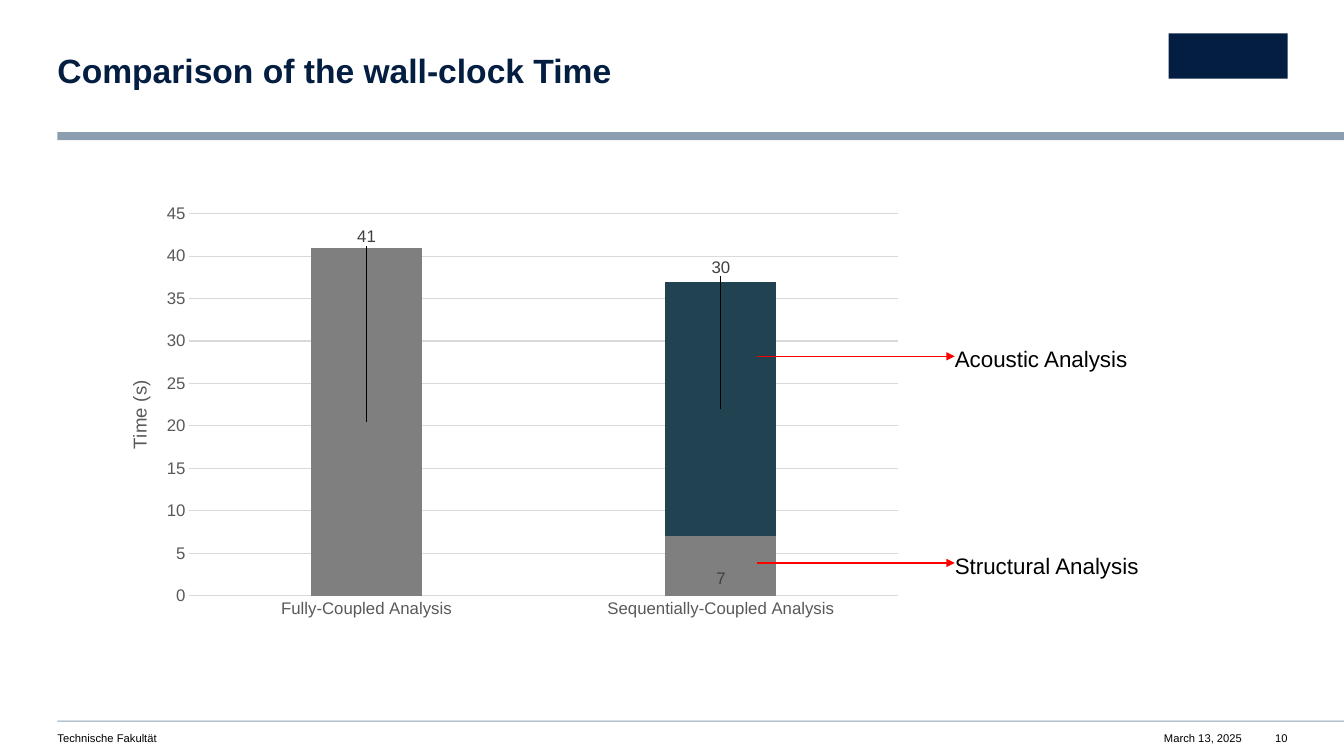
"""Build the slide comparing wall-clock times of two analyses."""
from dataclasses import dataclass

from lxml import etree
from pptx import Presentation
from pptx.chart.data import CategoryChartData as Data
from pptx.dml.color import RGBColor as RGB
from pptx.enum.chart import XL_CHART_TYPE as Kind
from pptx.enum.chart import XL_LABEL_POSITION as Spot
from pptx.enum.chart import XL_TICK_MARK as Tick
from pptx.enum.shapes import MSO_CONNECTOR as Wire
from pptx.enum.shapes import MSO_SHAPE as Shape
from pptx.enum.text import PP_ALIGN as Align
from pptx.oxml.ns import qn
from pptx.util import Inches, Pt


@dataclass(frozen=True)
class Theme:
    font: str = "Arial"
    navy: str = "041E42"
    slate: str = "8C9FB1"
    black: str = "000000"
    axis: str = "595959"
    label: str = "404040"
    grid: str = "D9D9D9"
    red: str = "FF0000"
    head: float = 24
    note: float = 16
    name: float = 13.3
    tick: float = 12
    foot: float = 8


T = Theme()

TITLE = "Comparison of the wall-clock Time"
FOOT = [
    ("Technische Fakultät", 0.57, 5.98, Align.LEFT),
    ("March 13, 2025", 11.39, 0.93, Align.RIGHT),
    ("10", 12.56, 0.21, Align.RIGHT),
]
BLOCKS = [
    (0.57, 1.31, 12.77, 0.08, T.slate),
    (0.57, 7.15, 12.77, 0.01, T.slate),
    (11.59, 0.33, 1.18, 0.45, T.navy),
]
CATS = ["Fully-Coupled Analysis", "Sequentially-Coupled Analysis"]
SERIES = [
    ("Series 1", (41, 7), "7F7F7F", {0: -0.43, 1: 0.03}),
    ("Series 2", (None, 30), "204251", {1: -0.33}),
]
UNIT = "Time (s)"
FRAME = (0.99, 1.95, 8.08, 4.26)
PLOT = {"x": 0.11, "y": 0.04, "w": 0.87, "h": 0.89}
NOTES = [("Acoustic Analysis", 3.4), ("Structural Analysis", 5.45)]
TAIL, TIP, NOTE_W, NOTE_H = 7.51, 9.47, 2.2, 0.27


def style(font, size, color, bold=False):
    font.name, font.size, font.bold = T.font, Pt(size), bold
    font.color.rgb = RGB.from_string(color)


def write(slide, text, box, size, color=T.black, bold=False, align=Align.LEFT):
    shape = slide.shapes.add_textbox(*map(Inches, box))
    frame = shape.text_frame
    frame.margin_left = frame.margin_right = 0
    frame.margin_top = frame.margin_bottom = 0
    frame.word_wrap = True
    frame.text = text
    para = frame.paragraphs[0]
    para.alignment = align
    style(para.runs[0].font, size, color, bold)
    return shape


def block(slide, left, top, width, height, color):
    shape = slide.shapes.add_shape(
        Shape.RECTANGLE, *map(Inches, (left, top, width, height)))
    shape.shadow.inherit = False
    shape.fill.solid()
    shape.fill.fore_color.rgb = RGB.from_string(color)
    shape.line.fill.background()


def layout(marks, inner=False):
    root = etree.Element(qn("c:layout"))
    node = etree.SubElement(root, qn("c:manualLayout"))
    if inner:
        etree.SubElement(node, qn("c:layoutTarget")).set("val", "inner")
    for key in marks if inner else ():
        if key in "xy":
            etree.SubElement(node, qn(f"c:{key}Mode")).set("val", "edge")
    for key, val in marks.items():
        etree.SubElement(node, qn(f"c:{key}")).set("val", str(val))
    return root


def place(node, after, part):
    for old in node.findall(qn("c:layout")):
        node.remove(old)
    if after is None:
        node.insert(0, part)
    else:
        node.find(qn(after)).addnext(part)


def rule(line):
    line.color.rgb = RGB.from_string(T.grid)
    line.width = Pt(0.75)


def draw(slide):
    data = Data()
    data.categories = CATS
    for name, vals, *_ in SERIES:
        data.add_series(name, vals)
    chart = slide.shapes.add_chart(
        Kind.COLUMN_STACKED, *map(Inches, FRAME), data).chart
    chart.has_legend = chart.has_title = False
    style(chart.font, T.tick, T.axis)
    plot = chart.plots[0]
    plot.gap_width, plot.overlap = 219, 100
    plot.vary_by_categories = False
    for series, (_, _, color, shifts) in zip(plot.series, SERIES):
        series.format.fill.solid()
        series.format.fill.fore_color.rgb = RGB.from_string(color)
        for spot, shift in shifts.items():
            label = series.points[spot].data_label
            style(label.font, T.tick, T.label)
            label.position = Spot.CENTER
        nodes = series._element.findall(f"{qn('c:dLbls')}/{qn('c:dLbl')}")
        for node, shift in zip(nodes, shifts.values()):
            place(node, "c:idx", layout({"x": 0, "y": shift}))
    cat, val = chart.category_axis, chart.value_axis
    for axis in (cat, val):
        axis.major_tick_mark = axis.minor_tick_mark = Tick.NONE
        style(axis.tick_labels.font, T.tick, T.axis)
    rule(cat.format.line)
    val.format.line.fill.background()
    val.minimum_scale, val.maximum_scale, val.major_unit = 0, 45, 5
    val.has_major_gridlines = True
    rule(val.major_gridlines.format.line)
    title = val.axis_title
    title.text_frame.text = UNIT
    style(title.text_frame.paragraphs[0].runs[0].font, T.name, T.axis)
    body = title._element.find(f".//{qn('a:bodyPr')}")
    body.set("rot", "-5400000")
    body.set("vert", "horz")
    place(title._element, "c:tx", layout({"x": 0.03, "y": 0.42}, True))
    for target in title._element.iter(qn("c:layoutTarget")):
        target.getparent().remove(target)
        break
    area = chart._chartSpace.find(f".//{qn('c:plotArea')}")
    place(area, None, layout(PLOT, True))


def point(slide, text, top):
    note = write(slide, text, (TIP, top, NOTE_W, NOTE_H), T.note)
    note.text_frame.paragraphs[0].line_spacing = 1.1
    mid = top + NOTE_H / 2
    arrow = slide.shapes.add_connector(
        Wire.STRAIGHT, *map(Inches, (TAIL, mid, TIP, mid)))
    arrow.end_connect(note, 1)
    arrow.line.color.rgb = RGB.from_string(T.red)
    arrow.line.width = Pt(1)
    props = arrow._element.spPr
    etree.SubElement(props.find(qn("a:ln")), qn("a:tailEnd")).set("type", "triangle")
    etree.SubElement(props, qn("a:effectLst"))


def main():
    deck = Presentation()
    deck.slide_width, deck.slide_height = Inches(13.33), Inches(7.5)
    slide = deck.slides.add_slide(deck.slide_layouts[6])
    for item in BLOCKS:
        block(slide, *item)
    for text, left, width, align in FOOT:
        write(slide, text, (left, 7.26, width, 0.13), T.foot, align=align)
    title = write(slide, TITLE, (0.57, 0.54, 7.49, 0.36), T.head, T.navy, True)
    title.text_frame.paragraphs[0].line_spacing = 0.9
    draw(slide)
    for text, top in NOTES:
        point(slide, text, top)
    deck.save("out.pptx")


if __name__ == "__main__":
    main()
